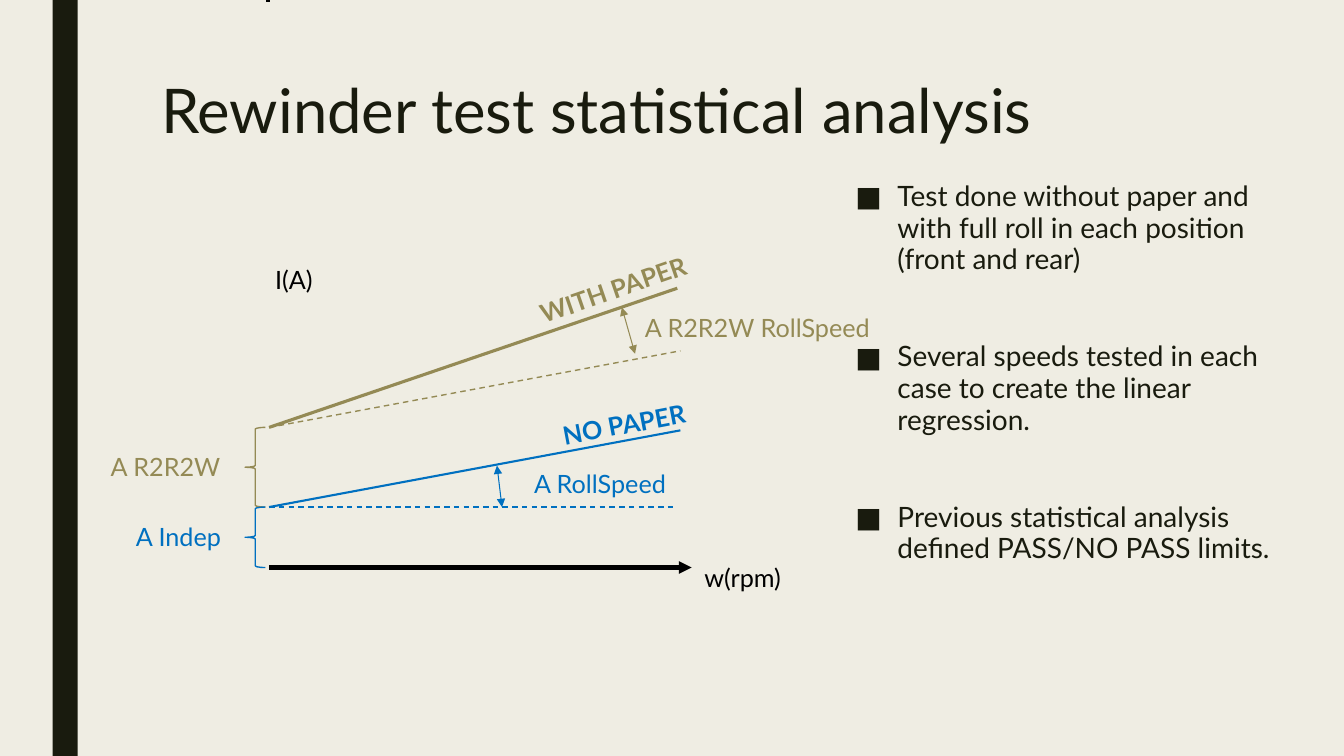
from lxml.etree import SubElement
from pptx import Presentation
from pptx.dml.color import RGBColor
from pptx.enum.dml import MSO_LINE
from pptx.enum.shapes import MSO_CONNECTOR, MSO_SHAPE
from pptx.oxml.ns import qn
from pptx.util import Pt

CREAM = RGBColor(0xEF, 0xED, 0xE3)
DARK = RGBColor(0x19, 0x1B, 0x0E)
BLACK = RGBColor(0x00, 0x00, 0x00)
BLUE = RGBColor(0x00, 0x70, 0xC0)
OLIVE = RGBColor(0x94, 0x8A, 0x55)
FONT = "Lato"
WIDTH, HEIGHT = 960, 540


def add_text(s, left, top, width, height, lines, size, color, bold=False):
    box = s.shapes.add_textbox(Pt(left), Pt(top), Pt(width), Pt(height))
    tf = box.text_frame
    tf.word_wrap = True
    tf.text = "\n".join(lines)
    for p in tf.paragraphs:
        for r in p.runs:
            r.font.name = FONT
            r.font.size = Pt(size)
            r.font.bold = bold
            r.font.color.rgb = color
    return box


def add_line(s, x1, y1, x2, y2, color, weight, dashed=False, arrows=()):
    """Draw a line; arrows may hold headEnd (start) and tailEnd (finish)."""
    line = s.shapes.add_connector(
        MSO_CONNECTOR.STRAIGHT, Pt(x1), Pt(y1), Pt(x2), Pt(y2))
    line.line.color.rgb = color
    line.line.width = Pt(weight)
    if dashed:
        line.line.dash_style = MSO_LINE.DASH
    for end in arrows:
        SubElement(line.line._get_or_add_ln(), qn(f"a:{end}"), type="triangle")
    SubElement(line._element.spPr, qn("a:effectLst"))


def add_side_bar(s, left, width):
    bar = s.shapes.add_shape(
        MSO_SHAPE.RECTANGLE, Pt(left), 0, Pt(width), Pt(HEIGHT))
    bar.shadow.inherit = False
    bar.fill.solid()
    bar.fill.fore_color.rgb = DARK
    bar.line.fill.background()


def add_title(s, left, top, width, height):
    box = add_text(s, left, top, width, height,
                   ["Rewinder test statistical analysis"], 44, DARK)
    box.text_frame.paragraphs[0].line_spacing = 0.89


def add_brace(s, left, top, width, height, color):
    brace = s.shapes.add_shape(
        MSO_SHAPE.LEFT_BRACE, Pt(left), Pt(top), Pt(width), Pt(height))
    brace.shadow.inherit = False
    brace.fill.background()
    brace.line.color.rgb = color
    brace.line.width = Pt(1)


def add_diagram(s, left, top):
    """Draw current against speed, with and without paper."""
    start = left + 120.2
    base, idle, loaded = top + 225.4, top + 182.2, top + 125.3

    # Axes: only the tip of the vertical one is seen, at the slide's edge
    add_line(s, start - 0.7, 0, start - 0.7, 1.4, BLACK, 3)
    add_line(s, start, base, left + 422, base, BLACK, 3, arrows=["tailEnd"])

    for y, end_x, end_y, color, weight, dashed in [
        (idle, 414, 127.4, BLUE, 1.5, False),
        (idle, 411.8, 182.2, BLUE, 1, True),
        (loaded, 411.8, 25.9, OLIVE, 2.25, False),
        (loaded, 414, 70.6, OLIVE, 1, True),
    ]:
        add_line(s, start, y, left + end_x, top + end_y, color, weight, dashed)

    for y1, y2, color in [(loaded, idle, OLIVE), (idle, base, BLUE)]:
        add_brace(s, left + 103, y1, 14.6, y2 - y1, color)

    for x1, y1, x2, y2, color in [
        (381.6, 72.7, 372.2, 39.6, OLIVE),
        (286.6, 182.2, 283, 152.6, BLUE),
    ]:
        add_line(s, left + x1, top + y1, left + x2, top + y2, color, 0.75,
                 arrows=["headEnd", "tailEnd"])

    for text, x, y, width, height, color, angle in [
        ("A Indep", 18, 188.6, 102, 29, BLUE, 0),
        ("A R2R2W", 0, 139, 106.6, 50, OLIVE, 0),
        ("I(A)", 117.4, 5, 50, 29, BLACK, 0),
        ("w(rpm)", 424, 218.2, 87, 50, BLACK, 0),
        ("A RollSpeed", 302.4, 151.2, 193, 29, BLUE, 0),
        ("A R2R2W RollSpeed", 381.6, 39.6, 204.5, 50, OLIVE, 0),
        ("WITH PAPER", 306.7, 5, 164.2, 50.4, OLIVE, -19),
        ("NO PAPER", 324, 105.1, 138.2, 50.4, BLUE, -10.7),
    ]:
        box = add_text(s, left + x, top + y, width, height, [text], 18, color,
                       bold=angle != 0)
        box.rotation = angle


def add_bullets(s, left, top, width, height):
    box = add_text(s, left, top, width, height, [
        "Test done without paper and with full roll in each position "
        "(front and rear)",
        "Several speeds tested in each case to create the linear regression.",
        "Previous statistical analysis defined PASS/NO PASS limits.",
    ], 20, DARK)
    for p in box.text_frame.paragraphs:
        p.line_spacing = 0.94
        p.space_after = Pt(46.8)
        pPr = p._p.get_or_add_pPr()
        pPr.set("marL", str(Pt(30)))
        pPr.set("indent", str(-Pt(30)))
        SubElement(SubElement(pPr, qn("a:buClr")), qn("a:srgbClr"),
                   val=str(DARK))
        SubElement(pPr, qn("a:buFont"), typeface=FONT)
        SubElement(pPr, qn("a:buChar"), char="■")


def main():
    prs = Presentation()
    prs.slide_width, prs.slide_height = Pt(WIDTH), Pt(HEIGHT)
    s = prs.slides.add_slide(prs.slide_layouts[6])
    s.background.fill.solid()
    s.background.fill.fore_color.rgb = CREAM
    add_side_bar(s, 37.5, 18)
    add_title(s, 108, 54, 756, 116.6)
    add_diagram(s, 72, 180)
    add_bullets(s, 604, 126, 338.4, 282)
    prs.save("out.pptx")


if __name__ == "__main__":
    main()
